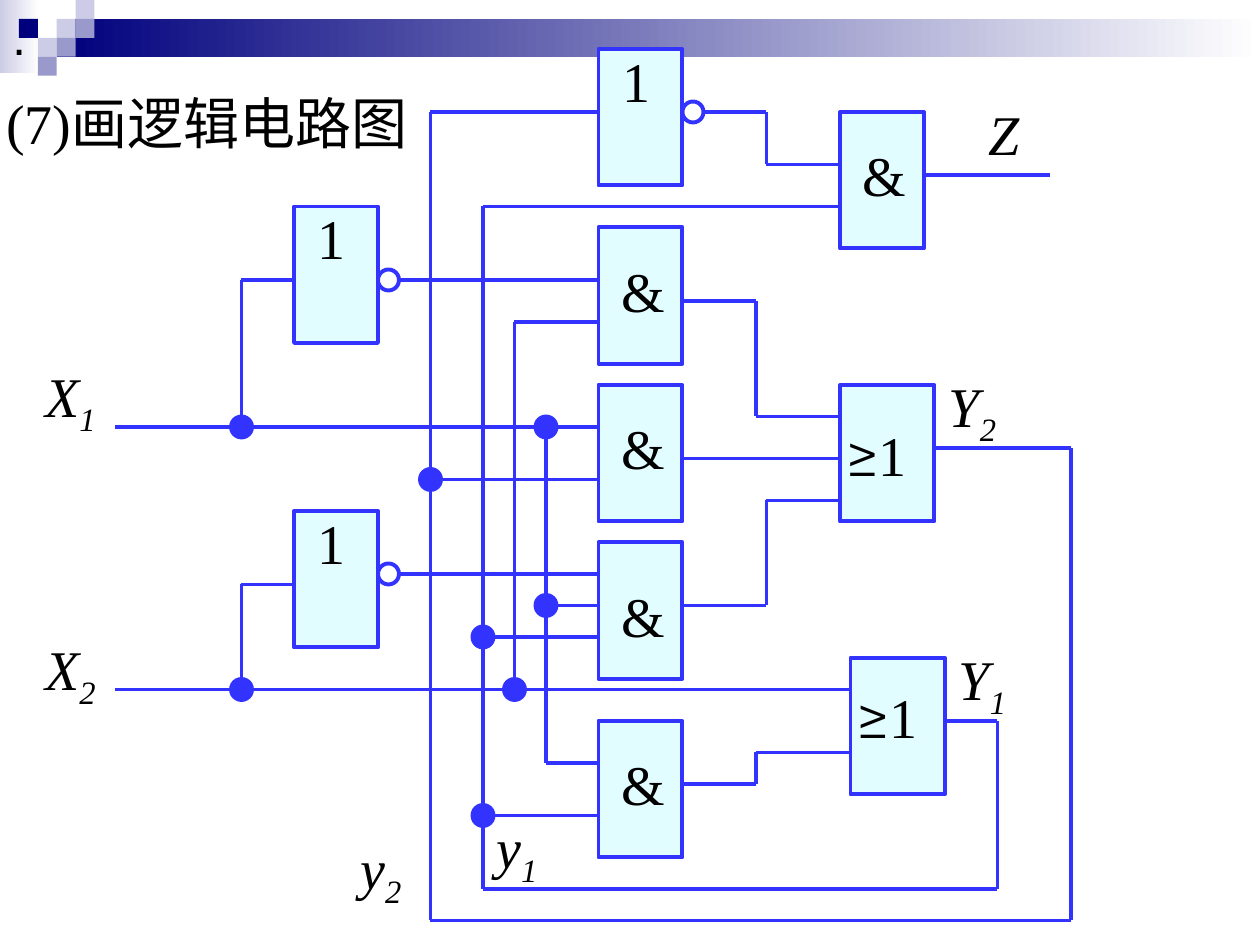
from itertools import pairwise

from lxml import etree
from pptx import Presentation
from pptx import util as u
from pptx.dml.color import RGBColor
from pptx.enum import shapes, text
from pptx.oxml.ns import qn

Pt = u.Pt
RECT, OVAL = shapes.MSO_SHAPE.RECTANGLE, shapes.MSO_SHAPE.OVAL

THEME = {
    "wire": "3333FF", "gate": "E1FDFF", "ink": "000000", "white": "FFFFFF",
    "navy": "00007D", "mid": "9999CC", "pale": "CCCCE6",
    "size": 32, "dot_size": 28, "line": 2.25,
    "serif": "Times New Roman", "sans": "Montserrat", "plain": "Arial",
}

TITLE = [("(7)画", "serif"), ("逻辑电路图", "sans")]
GATE_H, BUBBLE, NODE = 78, 12, 12

# Label runs, gate width, label offset from the gate's left edge, label width
KINDS = {
    "not": ([("1", "serif")], 48, 6.5, 30),
    "and": ([("&", "serif")], 48, 6, 39),
    "or": ([("≥", "sans"), ("1", "serif")], 54, -3.4, 57),
}
# kind, left, top, label offset from the gate's top
GATES = [
    ("not", 342, 28, -5), ("not", 168, 118, -5), ("not", 168, 292, -5),
    ("and", 342, 130, 13), ("and", 342, 220, 13), ("and", 342, 310, 19),
    ("and", 342, 412, 13), ("and", 480, 64, 13),
    ("or", 480, 220, 17), ("or", 486, 376, 10.5),
]
BUBBLES = [(216, 160), (216, 328), (390, 64)]   # left end, centre height

WIRES = [
    [(66, 244), (342, 244)],                                    # X1
    [(168, 160), (138, 160), (138, 244)],
    [(228, 160), (342, 160)],
    [(312, 244), (312, 436), (342, 436)],
    [(312, 346), (342, 346)],
    [(66, 394), (486, 394)],                                    # X2
    [(168, 334), (138, 334), (138, 394)],
    [(228, 328), (342, 328)],
    [(342, 184), (294, 184), (294, 394)],
    [(342, 64), (246, 64), (246, 526), (612, 526), (612, 256), (534, 256)],   # y2
    [(246, 274), (342, 274)],
    [(480, 118), (276, 118), (276, 508), (570, 508), (570, 412), (540, 412)],  # y1
    [(276, 364), (342, 364)],
    [(276, 466), (342, 466)],
    [(390, 172), (432, 172), (432, 238), (480, 238)],           # into Y2
    [(390, 262), (480, 262)],
    [(390, 346), (438, 346), (438, 286), (480, 286)],
    [(390, 448), (432, 448), (432, 430), (486, 430)],           # into Y1
    [(402, 64), (438, 64), (438, 94), (480, 94)],               # into Z
    [(528, 100), (600, 100)],
]
NODES = [(138, 244), (138, 394), (246, 274), (312, 244),
         (276, 364), (312, 346), (276, 466), (294, 394)]

# letter, subscript, left, top, width
SIGNALS = [
    ("X", "1", 18.7, 203, 43), ("X", "2", 18.7, 359.3, 43),
    ("Y", "1", 540.7, 365, 41), ("Y", "2", 535, 208.8, 41), ("Z", "", 558, 53.3, 32),
    ("y", "1", 276.5, 460.8, 37), ("y", "2", 198.7, 473, 37),
]

CELL = 10.8
# left, top, width, height, stops from right to left
BANDS = [(0, 0, 22.3, 41.8, ("white", "pale")), (32.4, 10.8, 687.6, 21.6, ("white", "navy"))]
CHECKERS = [(3, 1, "pale"), (4, 0, "pale"), (4, 1, "mid"), (2, 2, "pale"),
            (1, 1, "navy"), (3, 2, "mid"), (2, 3, "mid")]   # column, row, colour


def rgb(name):
    return RGBColor.from_string(THEME[name])


def add_block(slide, kind, box, fill=None, outlined=True):
    sp = slide.shapes.add_shape(kind, *map(Pt, box))
    sp.shadow.inherit = False
    if fill:
        sp.fill.solid()
        sp.fill.fore_color.rgb = rgb(fill)
    else:
        sp.fill.background()
    if outlined:
        sp.line.color.rgb = rgb("wire")
        sp.line.width = Pt(THEME["line"])
    else:
        sp.line.fill.background()
    return sp


def write(tf, runs, size="size", italic=None):
    """Fill a frame with (text, font[, baseline]) runs on one unwrapped line."""
    frame = {"word_wrap": False, "auto_size": text.MSO_AUTO_SIZE.NONE,
             "vertical_anchor": text.MSO_ANCHOR.TOP, "margin_right": 0}
    for key, value in frame.items():
        setattr(tf, key, value)
    p = tf.paragraphs[0]
    p.alignment = text.PP_ALIGN.LEFT
    for words, face, *baseline in runs:
        r = p.add_run()
        r.text = words
        for key, value in {"name": THEME[face], "size": Pt(THEME[size]), "italic": italic}.items():
            setattr(r.font, key, value)
        r.font.color.rgb = rgb("ink")
        if baseline:
            r._r.get_or_add_rPr().set("baseline", str(baseline[0]))


def add_label(slide, box, runs, **style):
    write(slide.shapes.add_textbox(*map(Pt, box)).text_frame, runs, **style)


def add_wire(slide, points):
    for start, end in pairwise(points):
        line = slide.shapes.add_connector(shapes.MSO_CONNECTOR.STRAIGHT, *map(Pt, start + end))
        line.line.color.rgb = rgb("wire")
        line.line.width = Pt(THEME["line"])
        etree.SubElement(line._element.spPr, qn("a:effectLst"))


def add_header(slide):
    for *box, stops in BANDS:
        fill = add_block(slide, RECT, box, outlined=False).fill
        fill.gradient()
        fill.gradient_angle = 180
        for stop, name in zip(fill.gradient_stops, stops):
            stop.color.rgb = rgb(name)
    for col, row, name in CHECKERS:
        add_block(slide, RECT, (col * CELL, row * CELL, CELL, CELL), name, outlined=False)
    add_label(slide, (0, 0, 30, 46), [(".", "plain")], size="dot_size")


def add_circuit(slide):
    for kind, x, y, dy in GATES:
        runs, width, dx, label_w = KINDS[kind]
        add_block(slide, RECT, (x, y, width, GATE_H), "gate")
        add_label(slide, (x + dx, y + dy, label_w, 46), runs)
    for x, y in BUBBLES:
        add_block(slide, OVAL, (x, y - BUBBLE / 2, BUBBLE, BUBBLE))
    for points in WIRES:
        add_wire(slide, points)
    for x, y in NODES:
        add_block(slide, OVAL, (x - NODE / 2, y - NODE / 2, NODE, NODE), "wire")
    for letter, sub, x, y, width in SIGNALS:
        runs = [(letter, "serif")] + ([(sub, "serif", -25000)] if sub else [])
        add_label(slide, (x, y, width, 51 if sub else 46), runs, italic=True)


def main():
    prs = Presentation()
    prs.slide_width, prs.slide_height = Pt(720), Pt(540)
    slide = prs.slides.add_slide(prs.slide_layouts[5])
    title = slide.shapes.title
    title.left, title.top, title.width, title.height = map(Pt, (-3.6, 46.8, 265, 46))
    write(title.text_frame, TITLE)
    add_header(slide)
    add_circuit(slide)
    prs.save("out.pptx")


if __name__ == "__main__":
    main()
